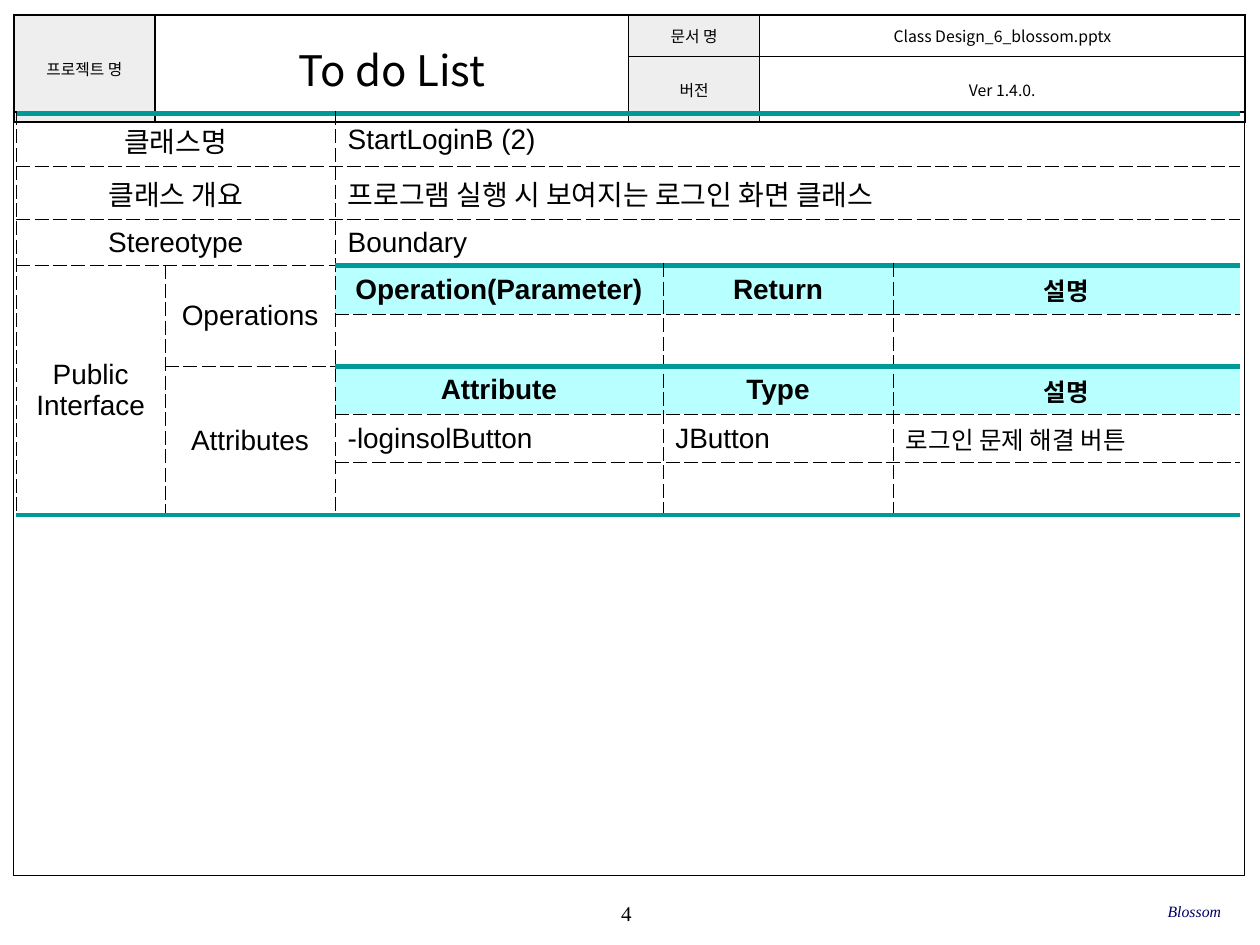
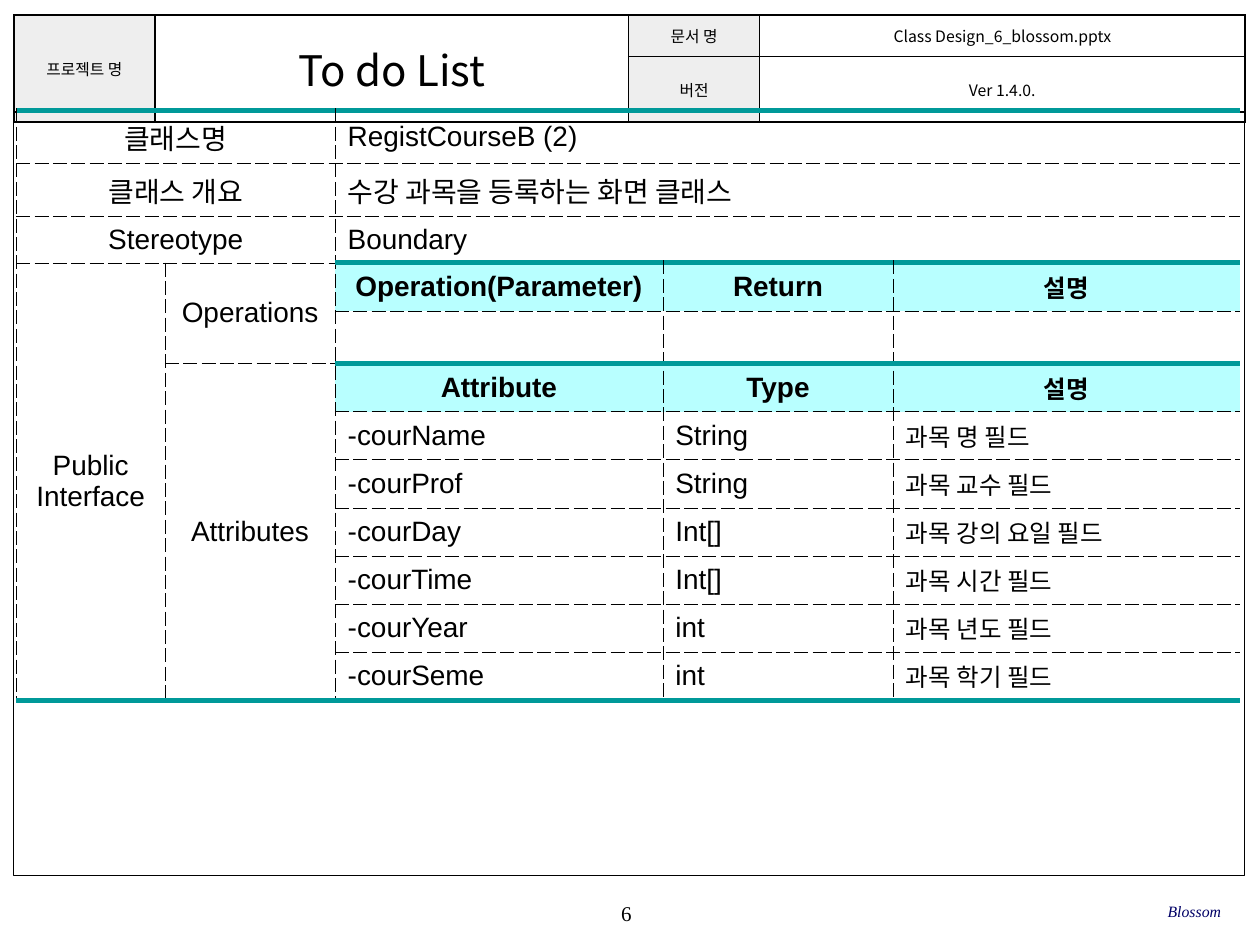
from lxml import etree
from pptx import Presentation
from pptx.dml.color import RGBColor
from pptx.enum.shapes import MSO_SHAPE
from pptx.enum.text import MSO_ANCHOR as ANCHOR, PP_ALIGN as ALIGN
from pptx.oxml.ns import qn
from pptx.util import Pt

COLORS = {"ink": "000000", "label": "EEEEEE", "rule": "009999",
          "heading": "B8FFFF", "team": "000066"}
SERIF, SANS, HANGUL = "Times New Roman", "Arial", "Noto Sans CJK KR"

SOLID = ("ink", 1, "solid")
DASHED = ("ink", 0.25, "lgDash")
HEAVY = ("rule", 3, "solid")

FRAME_LEFT, FRAME_WIDTH = 7.92, 703.4
HEADER_COLUMNS = [80.64, 270.72, 74.88, 277.2]
HEADER_ROWS = [23.6, 37.6]
DETAIL_COLUMNS = [84.96, 97.2, 187.2, 131.76, 198]
TITLE_ROWS = [30.3, 30.3, 25]
ENTRY_HEIGHT, EMPTY_HEIGHT = 27.5, 30
EMPTY_ENTRY = ("", "", "")
OPERATION_HEADINGS = ("Operation(Parameter)", "Return", "설명")
ATTRIBUTE_HEADINGS = ("Attribute", "Type", "설명")
OPERATION_TOP, ATTRIBUTE_TOP = 3, 5


def rgb(name):
    return RGBColor.from_string(COLORS[name])


def write(frame, text, size, font, align, color="ink", bold=False, italic=False):
    frame.text = text
    for paragraph in frame.paragraphs:
        paragraph.alignment = align
        for run in paragraph.runs:
            run.font.size, run.font.name = Pt(size), font
            run.font.bold, run.font.italic = bold, italic
            run.font.color.rgb = rgb(color)
            if font != SERIF:
                east_asian = etree.SubElement(run.font._element, qn("a:ea"))
                east_asian.set("typeface", HANGUL)


def add_footer_text(slide, left, top, width, text, size, align, **style):
    box = slide.shapes.add_textbox(Pt(left), Pt(top), Pt(width), Pt(23.76))
    frame = box.text_frame
    frame.word_wrap = True
    frame.vertical_anchor = ANCHOR.MIDDLE
    frame.margin_left = frame.margin_right = frame.margin_top = frame.margin_bottom = 0
    write(frame, text, size, SERIF, align, **style)


def add_grid(slide, left, top, columns, rows):
    """Add a table without banding, sized by its column and row lists."""
    table = slide.shapes.add_table(len(rows), len(columns), Pt(left), Pt(top),
                                   Pt(sum(columns)), Pt(sum(rows))).table
    table.first_row = table.horz_banding = False
    for column, width in zip(table.columns, columns):
        column.width = Pt(width)
    for row, height in zip(table.rows, rows):
        row.height = Pt(height)
    return table


def set_borders(cell, borders):
    """Draw the left, right, top and bottom lines; None hides a line."""
    properties = cell._tc.get_or_add_tcPr()
    for side, border in zip("LRTB", borders):
        line = etree.SubElement(properties, qn(f"a:ln{side}"))
        if border is None:
            etree.SubElement(line, qn("a:noFill"))
            continue
        color, width, dash = border
        line.set("w", str(Pt(width)))
        fill = etree.SubElement(line, qn("a:solidFill"))
        etree.SubElement(fill, qn("a:srgbClr")).set("val", COLORS[color])
        etree.SubElement(line, qn("a:prstDash")).set("val", dash)


def fill_cell(table, row, column, text, borders, size, font, align,
              span=(1, 1), fill=None, bold=False):
    """Write one cell, merged over span, with the same borders on all it covers."""
    cell = table.cell(row, column)
    last_row, last_column = row + span[0], column + span[1]
    if span != (1, 1):
        cell.merge(table.cell(last_row - 1, last_column - 1))
    for r in range(row, last_row):
        for c in range(column, last_column):
            covered = table.cell(r, c)
            set_borders(covered, borders)
            if fill:
                covered.fill.solid()
                covered.fill.fore_color.rgb = rgb(fill)
            else:
                covered.fill.background()
    cell.vertical_anchor = ANCHOR.MIDDLE
    write(cell.text_frame, text, size, font, align, bold=bold)
    return cell


def add_document_header(slide):
    table = add_grid(slide, FRAME_LEFT, 8.64, HEADER_COLUMNS, HEADER_ROWS)
    entries = [
        (0, 0, "프로젝트 명", 9, (2, 1), "label"),
        (0, 1, "To do List", 24, (2, 1), None),
        (0, 2, "문서 명", 9, (1, 1), "label"),
        (0, 3, "Class Design_6_blossom.pptx", 9, (1, 1), None),
        (1, 2, "버전", 9, (1, 1), "label"),
        (1, 3, "Ver 1.4.0.", 9, (1, 1), None),
    ]
    for row, column, text, size, span, fill in entries:
        cell = fill_cell(table, row, column, text, [SOLID] * 4, size, HANGUL,
                         ALIGN.CENTER, span, fill)
        cell.margin_left = cell.margin_right = Pt(2.88)
        cell.margin_top = cell.margin_bottom = Pt(1.44)


def add_page_frame(slide, number):
    add_footer_text(slide, 283, 509.8, 149.8, str(number), 12, ALIGN.CENTER)
    add_document_header(slide)
    frame = slide.shapes.add_shape(MSO_SHAPE.RECTANGLE, Pt(FRAME_LEFT), Pt(64.08),
                                   Pt(FRAME_WIDTH), Pt(436.3))
    frame.shadow.inherit = False
    frame.fill.background()
    frame.line.color.rgb = rgb("ink")
    frame.line.width = Pt(0.75)
    add_footer_text(slide, 477.4, 509, 220.3, "Blossom", 9, ALIGN.RIGHT,
                    color="team", italic=True)


def add_class_table(slide, top, class_name, summary, attributes):
    entries = [OPERATION_HEADINGS, EMPTY_ENTRY, ATTRIBUTE_HEADINGS, *attributes]
    heights = TITLE_ROWS + [ENTRY_HEIGHT if any(entry) else EMPTY_HEIGHT
                            for entry in entries]
    table = add_grid(slide, 9.36, top, DETAIL_COLUMNS, heights)
    row_count, column_count = len(heights), len(DETAIL_COLUMNS)

    def horizontal_line(row, column):
        section_start = row in (OPERATION_TOP, ATTRIBUTE_TOP) and column >= 2
        return HEAVY if row in (0, row_count) or section_start else DASHED

    def put(row, column, text, align=ALIGN.CENTER, span=(1, 1), size=16, **style):
        right = None if column + span[1] == column_count else DASHED
        borders = [DASHED, right, horizontal_line(row, column),
                   horizontal_line(row + span[0], column)]
        fill_cell(table, row, column, text, borders, size, SANS, align, span, **style)

    titles = [("클래스명", class_name), ("클래스 개요", summary),
              ("Stereotype", "Boundary")]
    for row, (label, value) in enumerate(titles):
        put(row, 0, label, span=(1, 2))
        put(row, 2, value, ALIGN.LEFT, span=(1, 3))

    put(OPERATION_TOP, 0, "Public\nInterface", span=(row_count - OPERATION_TOP, 1))
    put(OPERATION_TOP, 1, "Operations", span=(ATTRIBUTE_TOP - OPERATION_TOP, 1))
    put(ATTRIBUTE_TOP, 1, "Attributes", span=(row_count - ATTRIBUTE_TOP, 1))

    for row, entry in enumerate(entries, OPERATION_TOP):
        heading = row in (OPERATION_TOP, ATTRIBUTE_TOP)
        for column, text in enumerate(entry, 2):
            put(row, column, text, ALIGN.CENTER if heading else ALIGN.LEFT,
                size=14 if column == 4 else 16, bold=heading,
                fill="heading" if heading else None)


def main():
    deck = Presentation()
    deck.slide_width, deck.slide_height = Pt(720), Pt(540)
    pages = [
        (4, 64.8, "StartLoginB (2)", "프로그램 실행 시 보여지는 로그인 화면 클래스",
         [("-loginsolButton", "JButton", "로그인 문제 해결 버튼"), EMPTY_ENTRY]),
        (6, 63.2, "RegistCourseB (2)", "수강 과목을 등록하는 화면 클래스",
         [("-courName", "String", "과목 명 필드"),
          ("-courProf", "String", "과목 교수 필드"),
          ("-courDay", "Int[]", "과목 강의 요일 필드"),
          ("-courTime", "Int[]", "과목 시간 필드"),
          ("-courYear", "int", "과목 년도 필드"),
          ("-courSeme", "int", "과목 학기 필드")]),
    ]
    for number, top, class_name, summary, attributes in pages:
        slide = deck.slides.add_slide(deck.slide_layouts[6])
        add_page_frame(slide, number)
        add_class_table(slide, top, class_name, summary, attributes)
    deck.save("out.pptx")


if __name__ == "__main__":
    main()
